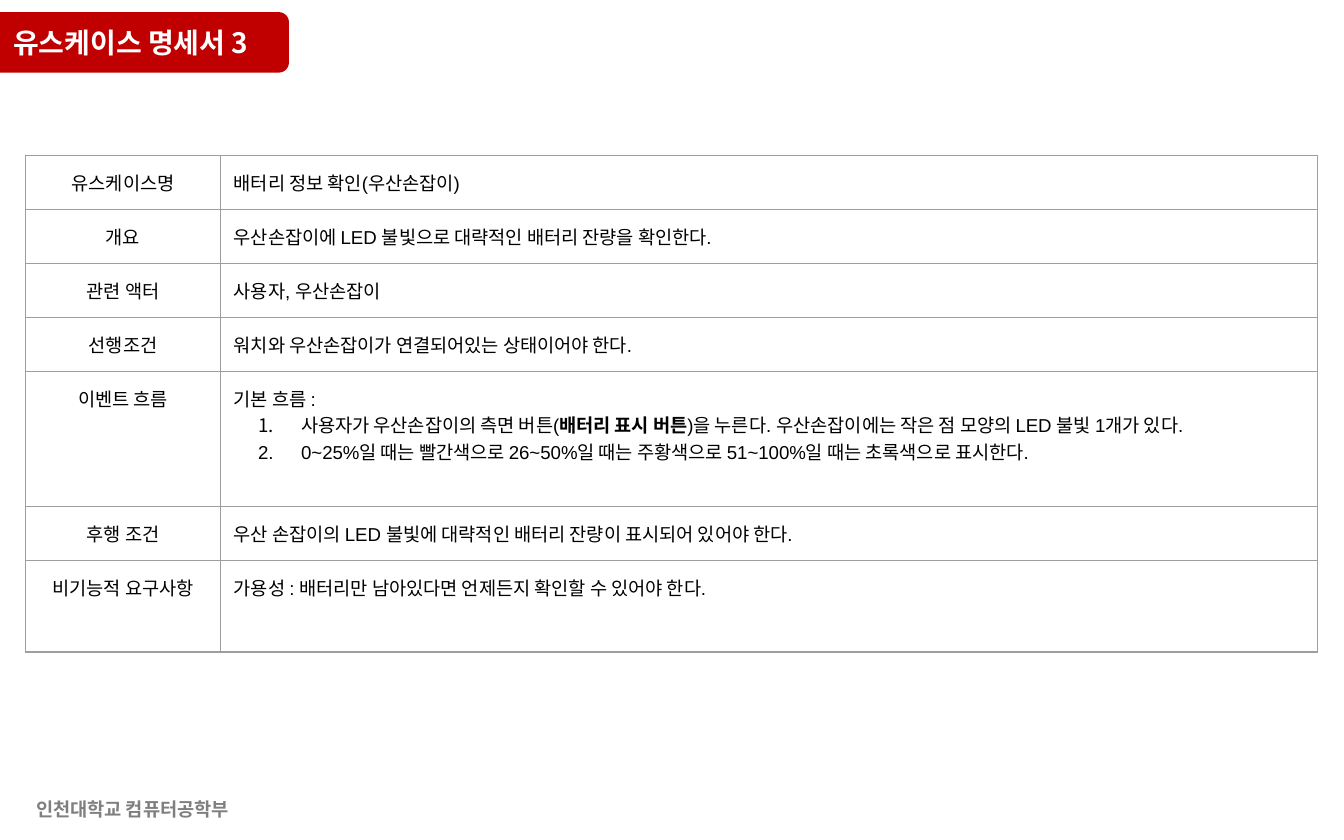
from lxml import etree
from pptx import Presentation, util as u
from pptx.dml.color import RGBColor
from pptx.enum import shapes, text
from pptx.oxml.ns import qn

SANS = "Noto Sans CJK KR"
BLACK, WHITE, RED, GRAY, RULE = "000000", "FFFFFF", "C00000", "7F7F7F", "9E9E9E"
PAD = u.Inches(0.1)
CENTER = text.PP_ALIGN.CENTER

rows = [
    ("유스케이스명", "배터리 정보 확인(우산손잡이)", 0.35),
    ("개요", "우산손잡이에 LED 불빛으로 대략적인 배터리 잔량을 확인한다.", 0.35),
    ("관련 액터", "사용자, 우산손잡이", 0.35),
    ("선행조건", "워치와 우산손잡이가 연결되어있는 상태이어야 한다.", 0.35),
    ("이벤트 흐름", "기본 흐름 :", 1.01),
    ("후행 조건", "우산 손잡이의 LED 불빛에 대략적인 배터리 잔량이 표시되어 있어야 한다.", 0.35),
    ("비기능적 요구사항", "가용성 : 배터리만 남아있다면 언제든지 확인할 수 있어야 한다.", 0.68),
]
flow_row = 4
flow_steps = [
    [("사용자가 우산손잡이의 측면 버튼(", False), ("배터리 표시 버튼", True),
     (")을 누른다. 우산손잡이에는 작은 점 모양의 LED 불빛 1개가 있다.", False)],
    [("0~25%일 때는 빨간색으로 26~50%일 때는 주황색으로 "
      "51~100%일 때는 초록색으로 표시한다.", False)],
]


def color(value):
    return RGBColor.from_string(value)


def add_run(paragraph, words, size=10, face="Arial", ink=BLACK, bold=False):
    run = paragraph.add_run()
    run.text = words
    run.font.size, run.font.name, run.font.bold = u.Pt(size), face, bold
    run.font.color.rgb = color(ink)
    if face == SANS:
        etree.SubElement(run.font._element, qn("a:ea"), typeface=face)


deck = Presentation()
deck.slide_width, deck.slide_height = u.Inches(10), u.Inches(6.25)
slide = deck.slides.add_slide(deck.slide_layouts[6])

# Use case table
columns = (1.45, 8.16)
use_case = slide.shapes.add_table(
    len(rows), len(columns), u.Inches(0.19), u.Inches(1.16),
    u.Inches(sum(columns)), u.Inches(sum(row[2] for row in rows))).table
use_case.first_row = use_case.horz_banding = False
for column, width in zip(use_case.columns, columns):
    column.width = u.Inches(width)

for index, (label, detail, height) in enumerate(rows):
    use_case.rows[index].height = u.Inches(height)
    for cell, words in zip(use_case.rows[index].cells, (label, detail)):
        cell.margin_left = cell.margin_right = cell.margin_top = cell.margin_bottom = PAD
        for side in ("a:lnL", "a:lnR", "a:lnT", "a:lnB"):
            border = etree.SubElement(cell._tc.tcPr, qn(side), w=str(u.Pt(0.75)))
            paint = etree.SubElement(border, qn("a:solidFill"))
            etree.SubElement(paint, qn("a:srgbClr"), val=RULE)
        cell.fill.background()
        add_run(cell.text_frame.paragraphs[0], words)
    use_case.cell(index, 0).text_frame.paragraphs[0].alignment = CENTER

for step in flow_steps:
    paragraph = use_case.cell(flow_row, 1).text_frame.add_paragraph()
    props = paragraph._p.get_or_add_pPr()
    props.set("marL", str(u.Inches(0.5)))
    props.set("indent", str(u.Inches(-0.32)))
    bullet_color = etree.SubElement(props, qn("a:buClr"))
    etree.SubElement(bullet_color, qn("a:srgbClr"), val=BLACK)
    etree.SubElement(props, qn("a:buFont"), typeface="Arial")
    etree.SubElement(props, qn("a:buAutoNum"), type="arabicPeriod")
    for words, bold in step:
        add_run(paragraph, words, bold=bold)

# Title tab and footer band, each with its caption
bands = [
    (shapes.MSO_SHAPE.ROUNDED_RECTANGLE, (-0.16, 0.09, 2.31, 0.45), RED,
     (0, 0.09, 2.23, 0.27), "유스케이스 명세서 3", 15, WHITE, 0.1, text.PP_ALIGN.LEFT),
    (shapes.MSO_SHAPE.RECTANGLE, (0, 5.8, 10, 0.45), WHITE,
     (0, 5.89, 1.97, 0.27), "인천대학교 컴퓨터공학부", 10, GRAY, 0.05, CENTER),
]
for outline, place, fill, caption_place, words, size, ink, pad, align in bands:
    band = slide.shapes.add_shape(outline, *map(u.Inches, place))
    band.shadow.inherit = False
    band.fill.solid()
    band.fill.fore_color.rgb = color(fill)
    band.line.fill.background()

    caption = slide.shapes.add_textbox(*map(u.Inches, caption_place)).text_frame
    caption.word_wrap = True
    caption.margin_left = caption.margin_right = PAD
    caption.margin_top = caption.margin_bottom = u.Inches(pad)
    caption.paragraphs[0].alignment = align
    add_run(caption.paragraphs[0], words, size, SANS, ink, bold=True)

deck.save("out.pptx")
